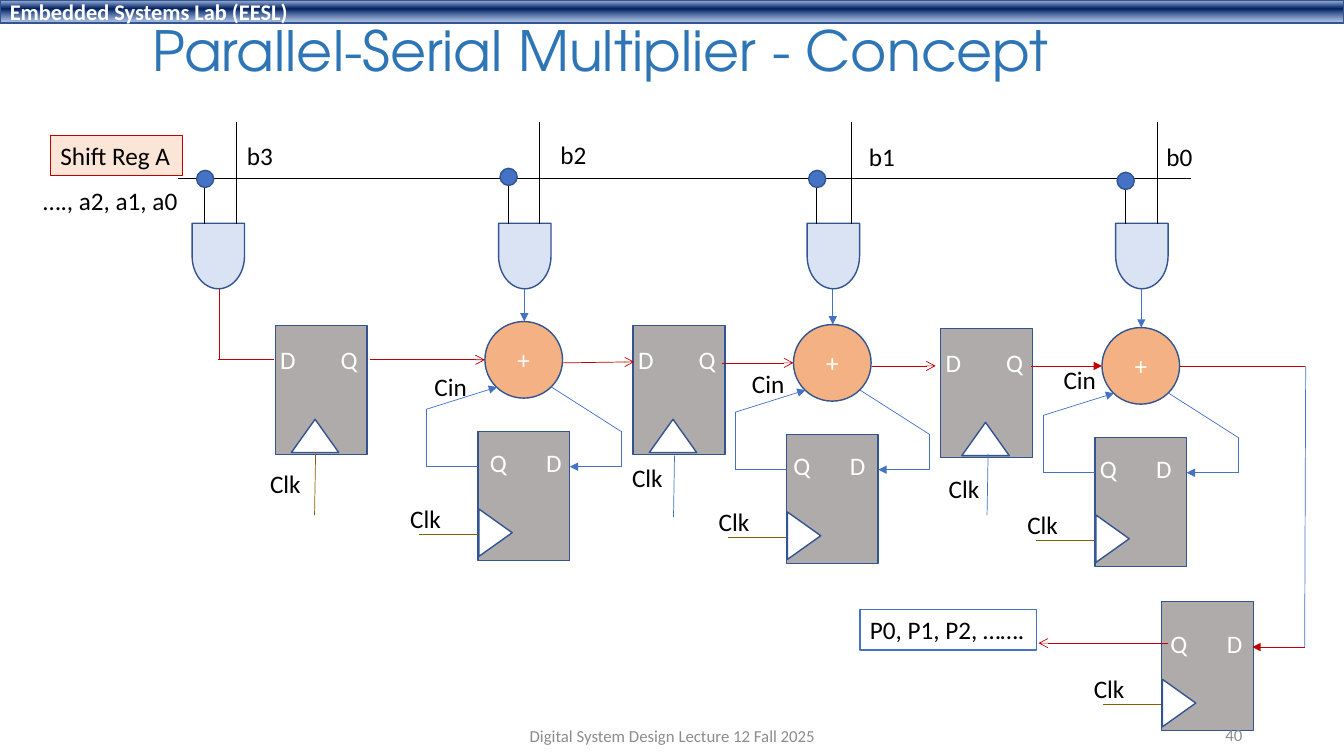
from dataclasses import dataclass
from typing import NamedTuple, Optional

from lxml import etree
from pptx import Presentation
from pptx.dml.color import RGBColor
from pptx.enum.shapes import MSO_CONNECTOR, MSO_SHAPE
from pptx.enum.text import MSO_ANCHOR, MSO_AUTO_SIZE, PP_ALIGN
from pptx.oxml.ns import qn
from pptx.util import Emu, Inches, Pt

RECTANGLE, ELLIPSE = MSO_SHAPE.RECTANGLE, MSO_SHAPE.OVAL
TRIANGLE, GATE = MSO_SHAPE.ISOSCELES_TRIANGLE, MSO_SHAPE.FLOWCHART_DELAY
STRAIGHT = MSO_CONNECTOR.STRAIGHT
TOP, MIDDLE = MSO_ANCHOR.TOP, MSO_ANCHOR.MIDDLE
LEFT, CENTER, RIGHT = PP_ALIGN.LEFT, PP_ALIGN.CENTER, PP_ALIGN.RIGHT
GROW, FIXED = MSO_AUTO_SIZE.SHAPE_TO_FIT_TEXT, MSO_AUTO_SIZE.NONE

BLACK = RGBColor(0x00, 0x00, 0x00)
WHITE = RGBColor(0xFF, 0xFF, 0xFF)
GREY = RGBColor(0xAF, 0xAB, 0xAB)
FOOTER_GREY = RGBColor(0x8C, 0x8C, 0x8C)
RED = RGBColor(0xC0, 0x00, 0x00)
BLUE = RGBColor(0x44, 0x72, 0xC4)
OUTLINE = RGBColor(0x32, 0x54, 0x91)
TITLE_BLUE = RGBColor(0x2E, 0x75, 0xB6)
PALE_BLUE = RGBColor(0xDA, 0xE3, 0xF3)
PEACH = RGBColor(0xFB, 0xE5, 0xD6)
ORANGE = RGBColor(0xF4, 0xB1, 0x83)
OLIVE = RGBColor(0x80, 0x60, 0x00)
BAND_LIGHT = RGBColor(0xAB, 0xC0, 0xE4)
BAND_DARK = RGBColor(0x00, 0x20, 0x60)
BAND_SOFT = RGBColor(0x7E, 0x9E, 0xD6)

COLUMNS, ROWS = 13.33, 7.5
CELL = Inches(1)
REGISTER_WIDTH, REGISTER_HEIGHT = 0.91, 1.28
STAGE_PITCH, STAGE_DROP = 3.06, 0.03


class Box(NamedTuple):
    column: float
    row: float
    width: float
    height: float


class Wire(NamedTuple):
    column: float
    row: float
    end_column: float
    end_row: float
    color: RGBColor
    head: Optional[str] = None


@dataclass
class Label:
    text: str
    size: float = 18
    color: RGBColor = BLACK
    font: str = "Calibri"
    bold: bool = False
    align: PP_ALIGN = LEFT
    anchor: MSO_ANCHOR = TOP
    wrap: bool = False
    spacing: float = 1.0
    tab: Optional[float] = None


@dataclass
class Input:
    name: str
    gate: float
    bit: float
    tap: float
    dot_row: float
    name_column: float
    name_row: float


@dataclass
class Stage:
    cin_column: float
    cin_row: float
    pins_shift: float


@dataclass
class Register:
    column: float
    row: float
    clock_shift: float
    clk_column: float
    clk_row: float
    wire: Wire


INPUTS = [
    Input("b3", 2.16, 2.34, 2.03, 1.69, 2.35, 1.34),
    Input("b2", 5.2, 5.35, 5.04, 1.67, 5.46, 1.33),
    Input("b1", 8.26, 8.44, 8.1, 1.69, 8.52, 1.35),
    Input("b0", 11.32, 11.48, 11.16, 1.71, 11.47, 1.35),
]
STAGES = [Stage(4.21, 3.63, 0.02), Stage(7.36, 3.6, -0.03), Stage(10.45, 3.57, -0.05)]
REGISTERS = [
    Register(2.73, 3.23, 0.16, 2.58, 4.6, Wire(3.13, 4.5, 3.12, 5.11, OLIVE)),
    Register(6.28, 3.23, 0.16, 6.17, 4.54, Wire(6.69, 4.52, 6.68, 5.13, BLUE)),
    Register(9.33, 3.26, 0.21, 9.31, 4.65, Wire(9.8, 4.5, 9.79, 5.11, BLUE)),
]
SIGNALS = [
    Wire(2.18, 2.87, 2.18, 3.57, RED), Wire(2.16, 3.57, 2.72, 3.57, RED),
    Wire(3.67, 3.57, 4.81, 3.57, RED, "arrow"), Wire(5.58, 3.6, 6.29, 3.59, RED, "arrow"),
    Wire(7.16, 3.6, 7.87, 3.6, RED, "arrow"), Wire(8.65, 3.63, 9.28, 3.63, RED, "arrow"),
    Wire(10.23, 3.63, 10.93, 3.63, RED, "triangle"), Wire(11.7, 3.63, 12.94, 3.63, RED),
    Wire(12.95, 3.63, 12.94, 6.42, BLUE), Wire(12.94, 6.42, 12.42, 6.42, RED, "triangle"),
    Wire(11.58, 6.38, 10.3, 6.38, RED, "arrow"),
]
FEEDBACK = [
    Wire(5.47, 3.84, 6.16, 4.28, BLUE), Wire(6.16, 4.28, 6.16, 4.63, BLUE),
    Wire(6.16, 4.63, 5.65, 4.63, BLUE, "triangle"), Wire(4.74, 4.63, 4.23, 4.63, BLUE),
    Wire(4.23, 4.63, 4.23, 4.06, BLUE), Wire(4.23, 4.06, 4.93, 3.84, BLUE, "triangle"),
]


def cells(count: float) -> Emu:
    return Emu(round(count * CELL))


def write(shape, label: Label) -> None:
    frame = shape.text_frame
    frame.word_wrap = label.wrap
    frame.auto_size = FIXED if label.wrap else GROW
    frame.vertical_anchor = label.anchor
    paragraph = frame.paragraphs[0]
    paragraph.alignment = label.align
    paragraph.line_spacing = label.spacing
    if label.tab:
        tabs = etree.SubElement(paragraph._p.get_or_add_pPr(), qn("a:tabLst"))
        etree.SubElement(tabs, qn("a:tab"), pos=str(cells(label.tab)), algn="l")
    run = paragraph.add_run()
    run.text = label.text
    run.font.name, run.font.size, run.font.bold = label.font, Pt(label.size), label.bold
    run.font.color.rgb = label.color


def add_label(slide, box: Box, label: Label) -> None:
    write(slide.shapes.add_textbox(*map(cells, box)), label)


def add_block(slide, kind, box: Box, fill: RGBColor, line: RGBColor = OUTLINE,
              width: float = 1, rotation: float = 0, label: Optional[Label] = None):
    shape = slide.shapes.add_shape(kind, *map(cells, box))
    shape.shadow.inherit = False
    shape.rotation = rotation
    shape.fill.solid()
    shape.fill.fore_color.rgb = fill
    shape.line.color.rgb, shape.line.width = line, Pt(width)
    if label:
        write(shape, label)
    return shape


def add_wire(slide, wire: Wire) -> None:
    connector = slide.shapes.add_connector(STRAIGHT, *map(cells, wire[:4]))
    connector.line.color.rgb, connector.line.width = wire.color, Pt(0.5)
    if wire.head:
        etree.SubElement(connector.line._get_or_add_ln(), qn("a:tailEnd"), type=wire.head)
    etree.SubElement(connector._element.spPr, qn("a:effectLst"))


def add_header(slide) -> None:
    header = add_block(slide, RECTANGLE, Box(0, 0, COLUMNS, 0.23), BAND_DARK, label=Label(
        "Embedded Systems Lab (EESL)", 16, WHITE, bold=True, anchor=MIDDLE, wrap=True))
    header.fill.gradient()
    header.fill.gradient_angle = 270
    stops = header._element.spPr.find(".//" + qn("a:gsLst"))
    for stop in list(stops):
        stops.remove(stop)
    for share, color, opacity in ((2, BAND_LIGHT, 100), (38, BAND_DARK, 100), (93, BAND_SOFT, 64)):
        stop = etree.SubElement(stops, qn("a:gs"), pos=str(share * 1000))
        value = etree.SubElement(stop, qn("a:srgbClr"), val=str(color))
        etree.SubElement(value, qn("a:alpha"), val=str(opacity * 1000))


def add_input(slide, bit: Input) -> None:
    add_block(slide, GATE, Box(bit.gate - 0.32, 2.28, 0.65, 0.52), PALE_BLUE, rotation=90)
    add_wire(slide, Wire(bit.bit, 1.21, bit.bit, 2.22, BLACK))
    add_wire(slide, Wire(bit.tap, 1.77, bit.tap, 2.22, BLACK))
    add_block(slide, ELLIPSE, Box(bit.tap - 0.08, bit.dot_row, 0.17, 0.17), BLUE)
    add_label(slide, Box(bit.name_column, bit.name_row, 0.46, 0.4), Label(bit.name))


def add_register(slide, register: Register) -> None:
    column, row = register.column, register.row
    add_block(slide, RECTANGLE, Box(column, row, REGISTER_WIDTH, REGISTER_HEIGHT), GREY)
    add_block(slide, TRIANGLE, Box(column + register.clock_shift, row + 0.93, 0.47, 0.33), WHITE)
    add_label(slide, Box(column - 0.05, row + 0.14, 0.99, 0.4),
              Label("D\tQ", color=WHITE, wrap=True, tab=0.6))
    add_wire(slide, register.wire)
    add_label(slide, Box(register.clk_column, register.clk_row, 0.51, 0.4), Label("Clk"))


def add_side_register(slide, column: float, row: float, pins_shift: float, pins_drop: float) -> None:
    add_block(slide, RECTANGLE, Box(column, row, REGISTER_WIDTH, REGISTER_HEIGHT), GREY)
    add_block(slide, TRIANGLE, Box(column - 0.06, row + 0.84, 0.47, 0.33), WHITE, rotation=90)
    add_label(slide, Box(column + pins_shift, row + pins_drop, 0.93, 0.4),
              Label("Q\tD", color=WHITE, wrap=True, tab=0.56))
    add_wire(slide, Wire(column, row + 1.02, column - 0.58, row + 1.02, OLIVE))
    add_label(slide, Box(column - 0.77, row + 0.66, 0.51, 0.4), Label("Clk"))


def add_stage(slide, index: int, stage: Stage) -> None:
    across, down = index * STAGE_PITCH, index * STAGE_DROP
    add_wire(slide, Wire(5.2 + across, 2.87, 5.2 + across, 3.19 + down, BLUE, "triangle"))
    add_block(slide, ELLIPSE, Box(4.81 + across, 3.19 + down, 0.77, 0.76), ORANGE,
              label=Label("+", color=WHITE, align=CENTER, anchor=MIDDLE, wrap=True))
    add_side_register(slide, 4.74 + across, 4.28 + down, stage.pins_shift, 0.11)
    for wire in FEEDBACK:
        add_wire(slide, Wire(wire.column + across, wire.row + down,
                             wire.end_column + across, wire.end_row + down, wire.color, wire.head))
    add_label(slide, Box(stage.cin_column, stage.cin_row, 0.53, 0.4), Label("Cin"))


def main() -> None:
    presentation = Presentation()
    presentation.slide_width, presentation.slide_height = cells(COLUMNS), cells(ROWS)
    slide = presentation.slides.add_slide(presentation.slide_layouts[6])
    add_header(slide)
    add_label(slide, Box(1.41, 0.16, 9.9, 0.75), Label(
        "Parallel-Serial Multiplier - Concept", 39.6, TITLE_BLUE, "TeX Gyre Adventor",
        anchor=MIDDLE, wrap=True, spacing=0.9))
    add_wire(slide, Wire(1.77, 1.77, 11.81, 1.77, BLACK))
    add_block(slide, RECTANGLE, Box(0.5, 1.34, 1.31, 0.4), PEACH, RED, 0.75, label=Label("Shift Reg A"))
    add_label(slide, Box(0.33, 1.79, 1.55, 0.4), Label("…., a2, a1, a0"))
    for bit in INPUTS:
        add_input(slide, bit)
    for index, stage in enumerate(STAGES):
        add_stage(slide, index, stage)
    for register in REGISTERS:
        add_register(slide, register)
    add_side_register(slide, 11.52, 5.97, -0.01, 0.21)
    for wire in SIGNALS:
        add_wire(slide, wire)
    add_block(slide, RECTANGLE, Box(8.53, 6.05, 1.75, 0.4), WHITE, BLUE,
              label=Label("P0, P1, P2, …….", wrap=True))
    add_label(slide, Box(4.42, 7.1, 4.5, 0.4), Label(
        "Digital System Design Lecture 12 Fall 2025", 12, FOOTER_GREY,
        align=CENTER, anchor=MIDDLE, wrap=True))
    add_label(slide, Box(9.42, 7.09, 3, 0.4), Label(
        "40", 12, FOOTER_GREY, align=RIGHT, anchor=MIDDLE, wrap=True))
    presentation.save("out.pptx")


if __name__ == "__main__":
    main()
